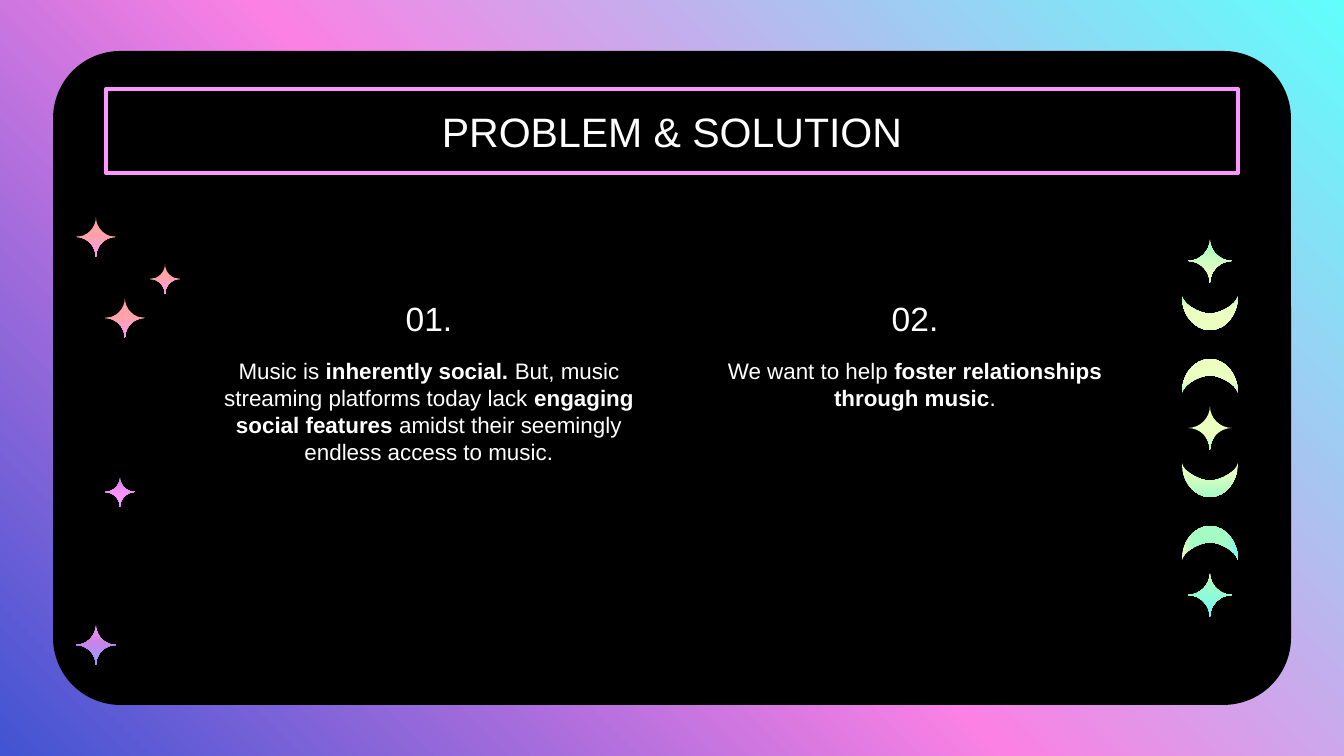
from lxml.etree import SubElement
from pptx import Presentation
from pptx.dml.color import RGBColor
from pptx.enum.shapes import MSO_SHAPE
from pptx.enum.text import MSO_ANCHOR, MSO_AUTO_SIZE, PP_ALIGN
from pptx.oxml.ns import qn
from pptx.util import Emu, Pt

PX = 914400 / 134.4
C = {"black": "000000", "white": "FFFFFF", "blue": "4154D2", "hot": "FB81E4",
     "cyan": "60FFFC", "pink": "FF95FF", "salmon": "FFA3A8", "plum": "CB83E6",
     "violet": "A397FC", "cream": "EBFFC0", "mint": "A4FBC4", "aqua": "78FAF3"}


def px(*values):
    return [Emu(round(v * PX)) for v in values]


def set_gradient(root, angle, stops):
    """Replace the stops of the gradient under root; angle runs clockwise."""
    grad = next(root.iter(qn("a:gradFill")))
    for child in list(grad):
        grad.remove(child)
    gs_list = SubElement(grad, qn("a:gsLst"))
    for pos, name in stops:
        gs = SubElement(gs_list, qn("a:gs"), pos=str(pos * 1000))
        SubElement(gs, qn("a:srgbClr"), val=C[name])
    SubElement(grad, qn("a:lin"), ang=str(angle * 60000), scaled="0")


def write(shape, *parts, size=12, anchor=MSO_ANCHOR.TOP):
    """Fill shape with one centred paragraph; every second part is bold."""
    tf = shape.text_frame
    tf.word_wrap = True
    tf.auto_size = MSO_AUTO_SIZE.NONE
    tf.vertical_anchor = anchor
    tf.margin_left = tf.margin_right = tf.margin_top = tf.margin_bottom = px(13)[0]
    p = tf.paragraphs[0]
    p.alignment = PP_ALIGN.CENTER
    for i, part in enumerate(parts):
        r = p.add_run()
        r.text = part
        r.font.name = "Arial"
        r.font.size = Pt(size)
        r.font.bold = i % 2 == 1
        r.font.color.rgb = RGBColor.from_string(C["white"])


prs = Presentation()
prs.slide_width, prs.slide_height = px(1344, 756)
s = prs.slides.add_slide(prs.slide_layouts[5])
s.background.fill.gradient()
set_gradient(s.background._cSld, 315, [(0, "blue"), (48, "hot"), (100, "cyan")])

# Card, placed behind the title
card = s.shapes.add_shape(MSO_SHAPE.ROUNDED_RECTANGLE, *px(53, 51, 1238, 654))
card.adjustments[0] = 0.103
card.shadow.inherit = False
card.fill.solid()
card.fill.fore_color.rgb = RGBColor.from_string(C["black"])
card.line.fill.background()
s.shapes._spTree.insert(2, card._element)

title = s.shapes.title
title.left, title.top, title.width, title.height = px(106, 89, 1132, 84)
title.fill.solid()
title.fill.fore_color.rgb = RGBColor.from_string(C["black"])
title.line.color.rgb = RGBColor.from_string(C["pink"])
title.line.width = Pt(2.25)
write(title, "PROBLEM & SOLUTION", size=22, anchor=MSO_ANCHOR.MIDDLE)

# Two numbered columns
columns = [
    (210, "01.", ["Music is ", "inherently social.",
                  " But, music streaming platforms today lack ",
                  "engaging social features",
                  " amidst their seemingly endless access to music."]),
    (696, "02.", ["We want to help ", "foster relationships through music", "."]),
]
for x, number, body in columns:
    write(s.shapes.add_textbox(*px(x, 276, 438, 75)), number,
          size=18, anchor=MSO_ANCHOR.BOTTOM)
    write(s.shapes.add_textbox(*px(x, 344, 438, 188)), *body)

# Unit outlines: a start point, then two controls and an end for each curve
star = [(0, -1),
        (0, -0.45), (-0.45, 0), (-1, 0), (-0.45, 0), (0, 0.45), (0, 1),
        (0, 0.45), (0.45, 0), (1, 0), (0.45, 0), (0, -0.45), (0, -1)]
cup = [(-1, 0),
       (-0.93, 0.28), (-0.34, 0.52), (0, 0.52), (0.34, 0.52), (0.93, 0.28), (1, 0),
       (1, 0.55), (0.55, 1), (0, 1), (-0.55, 1), (-1, 0.55), (-1, 0)]
cap = [(x, -y) for x, y in cup]

warm = [(0, "salmon"), (47, "salmon"), (100, "pink")]
pale = [(0, "mint"), (35, "cream"), (100, "cream")]
# outline, centre x, centre y, half width, height from centre, angle, stops
symbols = [
    (star, 96, 237, 20, 20, 90, warm),
    (star, 165, 279, 15, 15, 90, warm),
    (star, 125, 318, 20, 20, 90, warm),
    (star, 120, 492, 15, 15, 90, [(0, "plum"), (63, "pink"), (100, "pink")]),
    (star, 96, 645, 20, 20, 90,
     [(0, "pink"), (42, "plum"), (81, "violet"), (100, "violet")]),
]
STEP = 167
right_column = [
    (star, 261, 22, 22, [
        (90, [(0, "mint"), (85, "cream"), (100, "cream")]),
        (90, [(0, "cream"), (69, "cream"), (100, "mint")]),
        (90, [(0, "cream"), (22, "mint"), (87, "aqua"), (100, "aqua")])]),
    (cup, 296, 28, 34, [
        (90, pale),
        (90, [(0, "cream"), (20, "cream"), (100, "mint")])]),
    (cap, 393, 28, 34, [
        (270, pale),
        (0, [(0, "cream"), (20, "mint"), (79, "mint"), (100, "aqua")])]),
]
for outline, y, rx, ry, fills in right_column:
    for i, (angle, stops) in enumerate(fills):
        symbols.append((outline, 1210, y + i * STEP, rx, ry, angle, stops))

for outline, cx, cy, rx, ry, angle, stops in symbols:
    points = [px(cx + x * rx, cy + y * ry) for x, y in outline]
    builder = s.shapes.build_freeform(*points[0])
    builder.add_line_segments(points[1:], close=True)
    symbol = builder.convert_to_shape()
    # Every three line points become one Bézier curve
    outline_path = next(symbol._element.iter(qn("a:path")))
    lines = outline_path.findall(qn("a:lnTo"))
    close = outline_path.find(qn("a:close"))
    for i in range(0, 12, 3):
        curve = SubElement(outline_path, qn("a:cubicBezTo"))
        for line in lines[i:i + 3]:
            curve.append(line[0])
    for line in lines:
        outline_path.remove(line)
    outline_path.append(close)
    symbol.shadow.inherit = False
    symbol.line.fill.background()
    symbol.fill.gradient()
    set_gradient(symbol._element.spPr, angle, stops)

prs.save("out.pptx")
